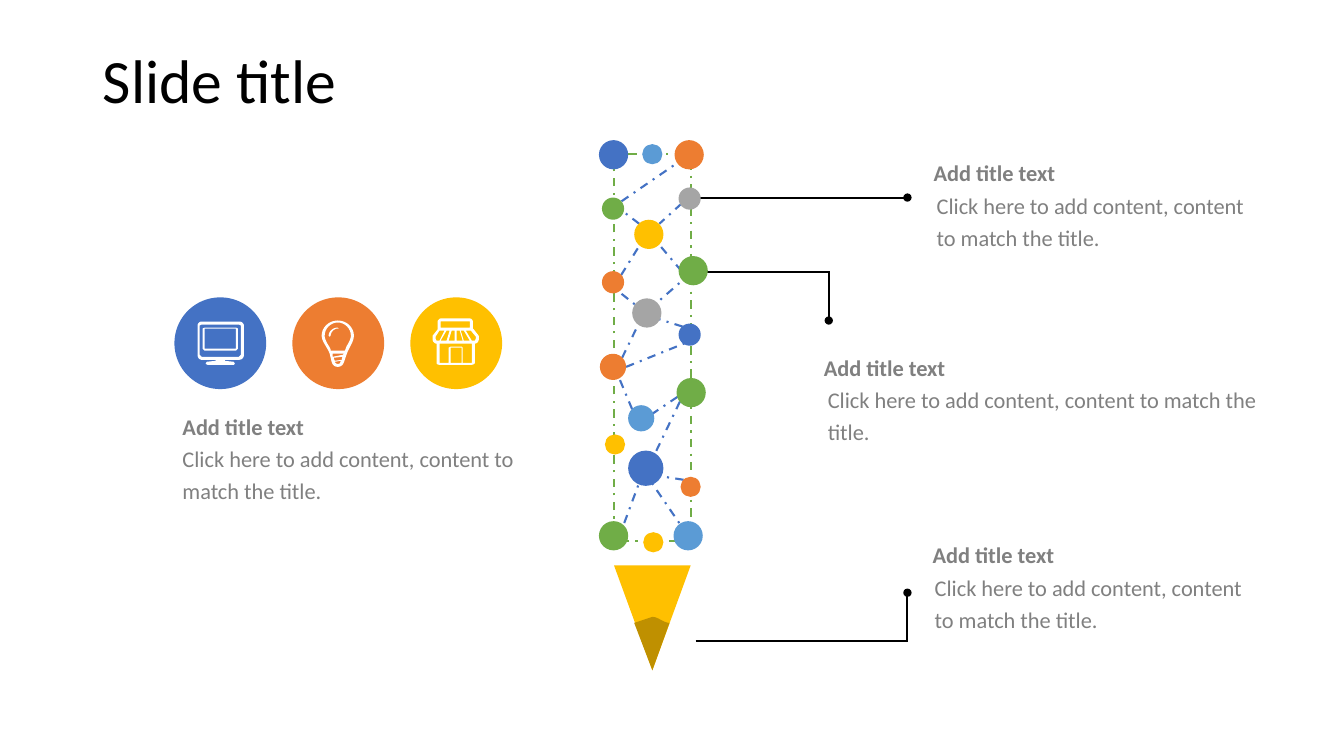
from lxml import etree
from pptx import Presentation
from pptx.dml.color import RGBColor
from pptx.enum.dml import MSO_LINE
from pptx.enum.shapes import MSO_CONNECTOR, MSO_SHAPE
from pptx.enum.text import MSO_ANCHOR, PP_ALIGN
from pptx.oxml.ns import qn
from pptx.util import Inches, Pt

BLUE, ORANGE, GOLD, GREEN = "4472C4", "ED7D31", "FFC000", "70AD47"
SKY, SILVER, GREY, DARK_GOLD = "5B9BD5", "A5A5A5", "808080", "BF9000"
BLACK, WHITE = "000000", "FFFFFF"

HEADING = "Add title text"
BODY = "Click here to add content, content to match the title."

# In an outline, a pair is a corner and six numbers are a cubic curve.
SHOP = [
    [(4.72, 3.36), (4.71, 3.38), (4.68, 3.38), (4.62, 3.28), (4.67, 3.28), (4.72, 3.34)],
    [(4.68, 3.6), (4.59, 3.6), (4.59, 3.45), (4.58, 3.44), (4.47, 3.44), (4.45, 3.45),
     (4.45, 3.6), (4.36, 3.6), (4.36, 3.41), (4.68, 3.41)],
    [(4.58, 3.6), (4.47, 3.6), (4.47, 3.45), (4.58, 3.45)],
    [(4.32, 3.36), (4.32, 3.34), (4.36, 3.28), (4.41, 3.28), (4.36, 3.38), (4.33, 3.38)],
    [(4.57, 3.28), (4.6, 3.28), (4.66, 3.38), (4.6, 3.38)],
    [(4.53, 3.28), (4.56, 3.28), (4.59, 3.38), (4.53, 3.38)],
    [(4.48, 3.28), (4.51, 3.28), (4.51, 3.38), (4.45, 3.38)],
    [(4.43, 3.38), (4.37, 3.38), (4.43, 3.28), (4.46, 3.28)],
    [(4.66, 3.19), (4.66, 3.25), (4.37, 3.25), (4.37, 3.19)],
    [(4.74, 3.32), (4.7, 3.27), (4.69, 3.26), (4.69, 3.19), (4.69, 3.18, 4.68, 3.16, 4.66, 3.16),
     (4.37, 3.16), (4.36, 3.16, 4.34, 3.18, 4.34, 3.19), (4.34, 3.26), (4.34, 3.27), (4.3, 3.32),
     (4.29, 3.33, 4.29, 3.34, 4.29, 3.35), (4.29, 3.36), (4.29, 3.39, 4.31, 3.41, 4.33, 3.41),
     (4.33, 3.6), (4.33, 3.61, 4.34, 3.62, 4.36, 3.62), (4.68, 3.62),
     (4.69, 3.62, 4.71, 3.61, 4.71, 3.6), (4.71, 3.41), (4.73, 3.41, 4.75, 3.39, 4.75, 3.36),
     (4.75, 3.35), (4.75, 3.34, 4.75, 3.33, 4.74, 3.32)],
]
SCREEN = [
    [(2.34, 3.46), (2.03, 3.46), (2.03, 3.26), (2.34, 3.26)],
    [(2.34, 3.25), (2.03, 3.25), (2.01, 3.26), (2.01, 3.46), (2.03, 3.48), (2.34, 3.48),
     (2.36, 3.46), (2.36, 3.26)],
]
MONITOR = [
    [(2.39, 3.52), (2.37, 3.54), (2, 3.54), (1.98, 3.52), (1.98, 3.23), (2, 3.22),
     (2.37, 3.22), (2.39, 3.23)],
    [(2.37, 3.19), (2, 3.19), (1.98, 3.19, 1.96, 3.21, 1.96, 3.23), (1.96, 3.52),
     (1.96, 3.55, 1.98, 3.57, 2, 3.57), (2.14, 3.57), (2.14, 3.58), (2.05, 3.59), (2.04, 3.61),
     (2.06, 3.62), (2.32, 3.62), (2.33, 3.61), (2.32, 3.59), (2.23, 3.58), (2.23, 3.57),
     (2.37, 3.57), (2.4, 3.57, 2.42, 3.55, 2.42, 3.52), (2.42, 3.23),
     (2.42, 3.21, 2.4, 3.19, 2.37, 3.19)],
]
BULB = [
    [(3.42, 3.48), (3.28, 3.48), (3.28, 3.46, 3.27, 3.45, 3.26, 3.43),
     (3.24, 3.4, 3.22, 3.36, 3.22, 3.33), (3.22, 3.26, 3.28, 3.2, 3.35, 3.2),
     (3.42, 3.2, 3.48, 3.26, 3.48, 3.33), (3.48, 3.36, 3.46, 3.4, 3.44, 3.43),
     (3.43, 3.45, 3.43, 3.46, 3.42, 3.48)],
    [(3.35, 3.61), (3.34, 3.61, 3.33, 3.61, 3.32, 3.59), (3.38, 3.58),
     (3.37, 3.61, 3.37, 3.61, 3.35, 3.61)],
    [(3.3, 3.54), (3.3, 3.51), (3.41, 3.51), (3.4, 3.52)],
    [(3.39, 3.57), (3.32, 3.58), (3.31, 3.55), (3.4, 3.54), (3.39, 3.55)],
    [(3.35, 3.18), (3.26, 3.18, 3.19, 3.25, 3.19, 3.33), (3.19, 3.39, 3.25, 3.45, 3.27, 3.51),
     (3.29, 3.59, 3.29, 3.64, 3.35, 3.64), (3.41, 3.64, 3.41, 3.59, 3.44, 3.51),
     (3.46, 3.45, 3.51, 3.39, 3.51, 3.33), (3.51, 3.25, 3.44, 3.18, 3.35, 3.18)],
]
GLINT = [[(3.35, 3.25), (3.3, 3.25, 3.26, 3.29, 3.26, 3.33), (3.27, 3.34), (3.28, 3.33),
          (3.28, 3.3, 3.31, 3.26, 3.35, 3.26), (3.36, 3.26)]]
PENCIL_TIP = [[(6.29, 6.18), (6.47, 6.65), (6.64, 6.18), (6.58, 6.18, 6.53, 6.12, 6.47, 6.12)]]

CALLOUT_LINES = [  # from, to, ends in a dot
    (6.9, 6.36, 9, 6.36, False), (9, 6.37, 9, 5.88, True), (6.88, 1.96, 9, 1.96, True),
    (6.94, 2.7, 8.22, 2.7, False), (8.22, 2.69, 8.22, 3.18, True),
]
NETWORK_LINES = [
    (6.8, 1.56, 6.16, 2), (6.76, 2.02, 6.54, 2.22), (6.76, 2.69, 6.54, 2.43),
    (6.34, 2.22, 6.09, 2.03), (6.16, 2.73, 6.39, 2.36), (6.77, 3.24, 6.42, 3.13),
    (6.17, 3.55, 6.37, 3.14), (6.41, 3.11, 6.07, 2.84), (6.44, 3.07, 6.85, 2.71),
    (6.21, 3.64, 6.88, 3.37), (6.27, 4.06, 6.12, 3.7), (6.27, 4.24, 6.82, 3.87),
    (6.78, 4.76, 6.46, 4.71), (6.38, 4.68, 6.15, 5.3), (6.82, 5.31, 6.45, 4.77),
    (6.41, 4.68, 6.76, 3.95),
]
NODES = [  # left, top, diameter, colour
    (5.94, 1.39, 0.29, BLUE), (6.69, 1.39, 0.29, ORANGE), (6.73, 1.86, 0.22, SILVER),
    (5.97, 1.96, 0.22, GREEN), (6.37, 1.43, 0.2, SKY), (5.94, 5.17, 0.29, GREEN),
    (6.68, 5.17, 0.29, SKY), (6.29, 2.18, 0.29, GOLD), (5.95, 3.51, 0.26, ORANGE),
    (6.73, 3.21, 0.22, BLUE), (5.97, 2.69, 0.22, ORANGE), (6.71, 3.75, 0.29, GREEN),
    (6.73, 2.54, 0.29, GREEN), (6.75, 4.73, 0.2, ORANGE), (6, 4.31, 0.2, GOLD),
    (6.23, 4.47, 0.35, BLUE), (6.23, 4.02, 0.26, SKY), (6.27, 2.96, 0.29, SILVER),
]
TEXT_BLOCKS = [  # heading left, top, width; body left, top, width, height
    ((1.81, 4.1, 1.35), (1.81, 4.36, 3.65, 1.39)),
    ((9.26, 1.58, 3.29), (9.29, 1.85, 3.26, 0.58)),
    ((8.17, 3.51, 4.38), (8.21, 3.78, 4.31, 0.58)),
    ((9.25, 5.37, 3.27), (9.27, 5.64, 3.28, 0.88)),
]


def color(value):
    return RGBColor.from_string(value)


def flatten(outline, steps=8):
    """Turn corners and cubic curves into a list of points in EMU."""
    points = [outline[0]]
    for part in outline[1:]:
        if len(part) == 2:
            points.append(part)
            continue
        controls = [points[-1], part[:2], part[2:4], part[4:]]
        for step in range(1, steps + 1):
            t = step / steps
            weights = ((1 - t) ** 3, 3 * t * (1 - t) ** 2, 3 * t * t * (1 - t), t ** 3)
            points.append(tuple(sum(w * c[axis] for w, c in zip(weights, controls))
                                for axis in (0, 1)))
    return [(Inches(x), Inches(y)) for x, y in points]


class SlideBuilder:
    font = "Calibri"
    line_width = Pt(1.5)

    def __init__(self, page):
        self.page = page

    def fill_text(self, frame, text, size, hue, bold=False, spacing=1.0):
        para = frame.paragraphs[0]
        para.alignment = PP_ALIGN.LEFT
        para.line_spacing = spacing
        span = para.add_run()
        span.text = text
        span.font.name, span.font.size, span.font.bold = self.font, Pt(size), bold
        span.font.color.rgb = color(hue)

    def title(self, text):
        box = self.page.shapes.title
        box.left, box.top, box.width, box.height = map(Inches, (0.92, 0.4, 11.5, 0.85))
        box.text_frame.vertical_anchor = MSO_ANCHOR.MIDDLE
        self.fill_text(box.text_frame, text, 44, BLACK, spacing=0.9)

    def text(self, left, top, width, height, text, **style):
        box = self.page.shapes.add_textbox(*map(Inches, (left, top, width, height)))
        frame = box.text_frame
        frame.word_wrap = True
        frame.margin_left = frame.margin_top = frame.margin_right = frame.margin_bottom = 0
        self.fill_text(frame, text, 16, GREY, **style)

    def paint(self, shape, fill):
        shape.shadow.inherit = False
        shape.fill.solid()
        shape.fill.fore_color.rgb = color(fill)
        shape.line.fill.background()

    def shape(self, kind, left, top, width, height, fill):
        shape = self.page.shapes.add_shape(kind, *map(Inches, (left, top, width, height)))
        self.paint(shape, fill)
        return shape

    def circle(self, left, top, diameter, fill):
        self.shape(MSO_SHAPE.OVAL, left, top, diameter, diameter, fill)

    def outline(self, contours, fill):
        """Draw one filled shape; contours inside others become holes."""
        first, *others = [flatten(contour) for contour in contours]
        builder = self.page.shapes.build_freeform(*first[0])
        builder.add_line_segments(first[1:])
        for points in others:
            builder.move_to(*points[0])
            builder.add_line_segments(points[1:])
        self.paint(builder.convert_to_shape(), fill)

    def stroke(self, line, hue, dashed):
        line.color.rgb = color(hue)
        line.width = self.line_width
        if dashed:
            line.dash_style = MSO_LINE.DASH_DOT

    def line(self, x1, y1, x2, y2, hue, dashed=False, dot=False):
        link = self.page.shapes.add_connector(
            MSO_CONNECTOR.STRAIGHT, *map(Inches, (x1, y1, x2, y2)))
        self.stroke(link.line, hue, dashed)
        properties = link._element.spPr
        if dot:
            etree.SubElement(properties.find(qn("a:ln")), qn("a:tailEnd"), type="oval")
        etree.SubElement(properties, qn("a:effectLst"))


def main():
    deck = Presentation()
    deck.slide_width, deck.slide_height = Inches(13.33), Inches(7.5)
    slide = SlideBuilder(deck.slides.add_slide(deck.slide_layouts[5]))
    slide.title("Slide title")

    for *ends, dot in CALLOUT_LINES:
        slide.line(*ends, BLACK, dot=dot)

    icons = [(BLUE, (SCREEN, MONITOR)), (ORANGE, (BULB, GLINT)), (GOLD, (SHOP,))]
    for index, (hue, outlines) in enumerate(icons):
        slide.circle(1.73 + index * 1.17, 2.95, 0.91, hue)
        for contours in outlines:
            slide.outline(contours, WHITE)

    body = slide.shape(MSO_SHAPE.RECTANGLE, 6.09, 1.53, 0.76, 3.84, WHITE)
    body.fill.background()
    slide.stroke(body.line, GREEN, dashed=True)
    point = slide.shape(MSO_SHAPE.ISOSCELES_TRIANGLE, 6.09, 5.61, 0.76, 1.04, GOLD)
    point.rotation = 180
    slide.outline(PENCIL_TIP, DARK_GOLD)
    slide.circle(6.38, 5.28, 0.2, GOLD)
    for ends in NETWORK_LINES:
        slide.line(*ends, BLUE, dashed=True)
    for node in NODES:
        slide.circle(*node)

    for heading, content in TEXT_BLOCKS:
        slide.text(*heading, 0.27, HEADING, bold=True)
        slide.text(*content, BODY, spacing=1.2)

    deck.save("out.pptx")


if __name__ == "__main__":
    main()
